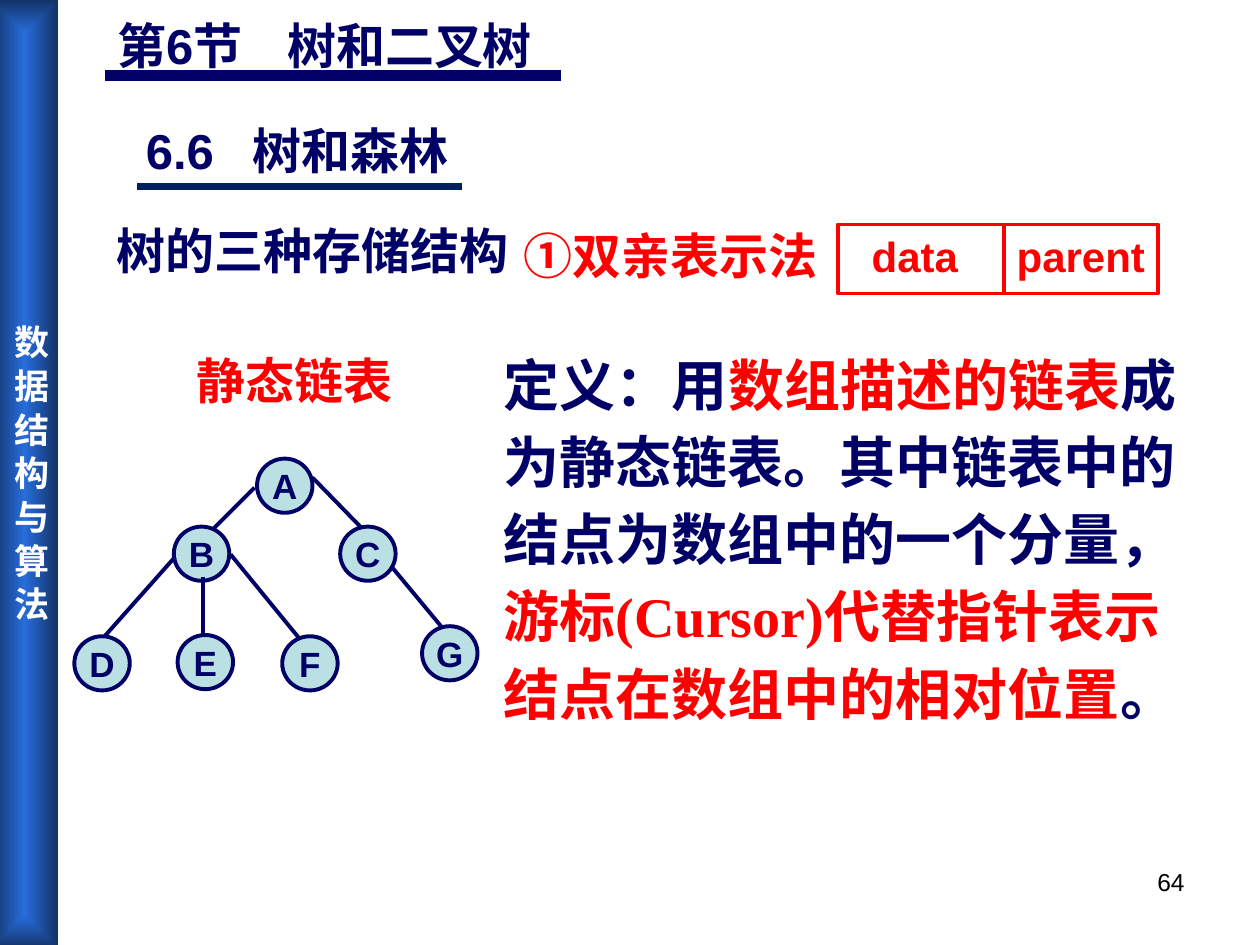
"""Builds the slide on static linked lists as a storage structure for trees."""
from lxml import etree
from pptx import Presentation, util as u
from pptx.dml.color import RGBColor
from pptx.enum import shapes, text
from pptx.oxml import parse_xml
from pptx.oxml.ns import nsdecls, qn

COLORS = {"navy": "000066", "red": "FF0000", "node": "BBE0E3", "rule": "002060",
          "black": "000000", "white": "FFFFFF", "glow": "286DDC", "edge": "133266"}
CJK = "Noto Sans CJK SC"
COLUMNS, ROWS = 100, 75


def write(frame, lines, size=28, color="navy", font="Arial", bold=True, align="LEFT",
          anchor="TOP", wrap=True, spacing=None, tab=None, margins=(1, 0.5, 1, 0.5),
          vertical=False):
    """Fill a frame with lines, each a list of (words, color) runs or plain words."""
    frame.word_wrap = wrap
    frame.vertical_anchor = getattr(text.MSO_ANCHOR, anchor)
    frame.margin_left, frame.margin_top, frame.margin_right, frame.margin_bottom = (
        u.Inches(margin / 10) for margin in margins)
    if vertical:
        frame._txBody.bodyPr.set("vert", "eaVert")
    for index, line in enumerate(lines):
        paragraph = frame.add_paragraph() if index else frame.paragraphs[0]
        if tab:
            stops = etree.SubElement(paragraph._p.get_or_add_pPr(), qn("a:tabLst"))
            etree.SubElement(stops, qn("a:tab"), pos=str(u.Inches(tab / 10)), algn="l")
        paragraph.alignment = getattr(text.PP_ALIGN, align)
        if spacing:
            paragraph.line_spacing = spacing
        for words, tint in [(line, color)] if isinstance(line, str) else line:
            run = paragraph.add_run()
            run.text = words
            run.font.size, run.font.bold, run.font.name = u.Pt(size), bold, font
            run.font.color.rgb = RGBColor.from_string(COLORS[tint])
            latin = run._r.get_or_add_rPr().find(qn("a:latin"))
            latin.addnext(parse_xml(f'<a:ea {nsdecls("a")} typeface="{CJK}"/>'))


class Lecture:
    """Holds the grid and the current slide and draws each kind of element."""

    def __init__(self, deck):
        self.slide = deck.slides.add_slide(deck.slide_layouts[5])
        self.column = deck.slide_width / COLUMNS
        self.row = deck.slide_height / ROWS

    def place(self, *lengths):
        """Turn alternating columns and rows into slide lengths."""
        return [round(length * (self.row if index % 2 else self.column))
                for index, length in enumerate(lengths)]

    def title(self, box, words, **style):
        """Move and format the title placeholder."""
        title = self.slide.shapes.title
        title.left, title.top, title.width, title.height = self.place(*box)
        write(title.text_frame, [words], **style)

    def label(self, box, *lines, **style):
        """Add a text box."""
        write(self.slide.shapes.add_textbox(*self.place(*box)).text_frame, lines, **style)

    def shape(self, kind, box, fill=None, line=None, weight=2.25):
        """Add a preset shape with an optional fill and outline."""
        preset = getattr(shapes.MSO_SHAPE, kind)
        shape = self.slide.shapes.add_shape(preset, *self.place(*box))
        shape.shadow.inherit = False
        if fill:
            shape.fill.solid()
            shape.fill.fore_color.rgb = RGBColor.from_string(COLORS[fill])
        else:
            shape.fill.background()
        if line:
            shape.line.color.rgb = RGBColor.from_string(COLORS[line])
            shape.line.width = u.Pt(weight)
        else:
            shape.line.fill.background()
        return shape

    def line(self, ends, color="navy", weight=2.25):
        """Add a straight line without a shadow."""
        line = self.slide.shapes.add_connector(shapes.MSO_CONNECTOR.STRAIGHT,
                                               *self.place(*ends))
        line.line.color.rgb = RGBColor.from_string(COLORS[color])
        line.line.width = u.Pt(weight)
        etree.SubElement(line._element.spPr, qn("a:effectLst"))

    def node(self, name, left, top):
        """Add a round tree node."""
        node = self.shape("OVAL", (left, top, 4.4, 4.3), "node", "navy")
        write(node.text_frame, [name], size=20, align="CENTER", anchor="MIDDLE", wrap=False)

    def course_bar(self, box):
        """Add the shaded side bar."""
        bar = self.shape("RECTANGLE", box, "glow")
        stops = "".join(f'<a:gs pos="{position}"><a:srgbClr val="{COLORS[color]}"/></a:gs>'
                        for position, color in ((0, "glow"), (100000, "edge")))
        shade = parse_xml(
            f'<a:gradFill {nsdecls("a")} rotWithShape="1"><a:gsLst>{stops}</a:gsLst>'
            '<a:path path="rect"><a:fillToRect l="50000" t="50000" r="50000" b="50000"/>'
            '</a:path></a:gradFill>')
        solid = bar._element.spPr.find(qn("a:solidFill"))
        solid.getparent().replace(solid, shade)


def main():
    """Build and save the slide."""
    deck = Presentation()
    deck.slide_width, deck.slide_height = u.Inches(10), u.Inches(7.5)
    lecture = Lecture(deck)

    lecture.label((71.7, 68.3, 23.3, 5.2), "64", size=14, color="black", bold=False,
                  align="RIGHT")
    lecture.label((10.6, 9.1, 27.7, 5.7), "6.6\t树和森林", tab=8.5)
    lecture.line((8.3, 6, 44.5, 6), weight=6)
    lecture.title((8.3, 0.7, 37, 10.4), "第6节\t树和二叉树", tab=13.5)
    lecture.label((8.3, 17, 34.7, 5.7), "树的三种存储结构")
    lecture.label((40.6, 16.2, 26, 6.9), "①双亲表示法", color="red", spacing=1.25)

    lecture.shape("RECTANGLE", (66.5, 17.8, 25.4, 5.5), line="red", weight=2)
    lecture.line((79.7, 17.8, 79.7, 23.3), "red", 2)
    for field, left, width in (("data", 68.2, 11), ("parent", 79.7, 12.8)):
        lecture.label((left, 17.8, width, 5), field, size=24, color="red")

    nodes = {"A": (20.4, 36.4), "B": (13.8, 41.8), "C": (27, 41.8), "D": (5.9, 50.5),
             "G": (33.5, 49.7), "E": (14.1, 50.4), "F": (22.4, 50.5)}
    for name, corner in nodes.items():
        lecture.node(name, *corner)
    branches = ((20.2, 38.7, 16.9, 42), (13.9, 44.2, 8.3, 50.5), (24.8, 37.9, 28.7, 41.9),
                (31.1, 45, 35, 49.7), (18.3, 44, 23.7, 50.6), (16.1, 45.8, 16.1, 50.5))
    for branch in branches:
        lecture.line(branch)

    lecture.label((14.6, 27.3, 17.5, 5.7), "静态链表", color="red", wrap=False)
    lecture.label((39, 26.5, 61, 31.7),
                  [("定义：用", "navy"), ("数组描述的链表", "red"), ("成", "navy")],
                  "为静态链表。其中链表中的",
                  "结点为数组中的一个分量，",
                  [("游标(Cursor)代替指针表示", "red")],
                  [("结点在数组中的相对位置", "red"), ("。", "navy")],
                  size=32, font="Times New Roman", spacing=1.15)
    lecture.course_bar((-0.7, 0, 5.3, 75.3))
    lecture.label((-0.7, 24.8, 5.3, 27), "数 据 结 构 与 算 法", size=20, color="white",
                  font=CJK, align="CENTER", margins=(0.5, 1, 0.5, 1), vertical=True)
    lecture.line((10.9, 14.8, 36.7, 14.8), "rule", 4.25)
    deck.save("out.pptx")


if __name__ == "__main__":
    main()
